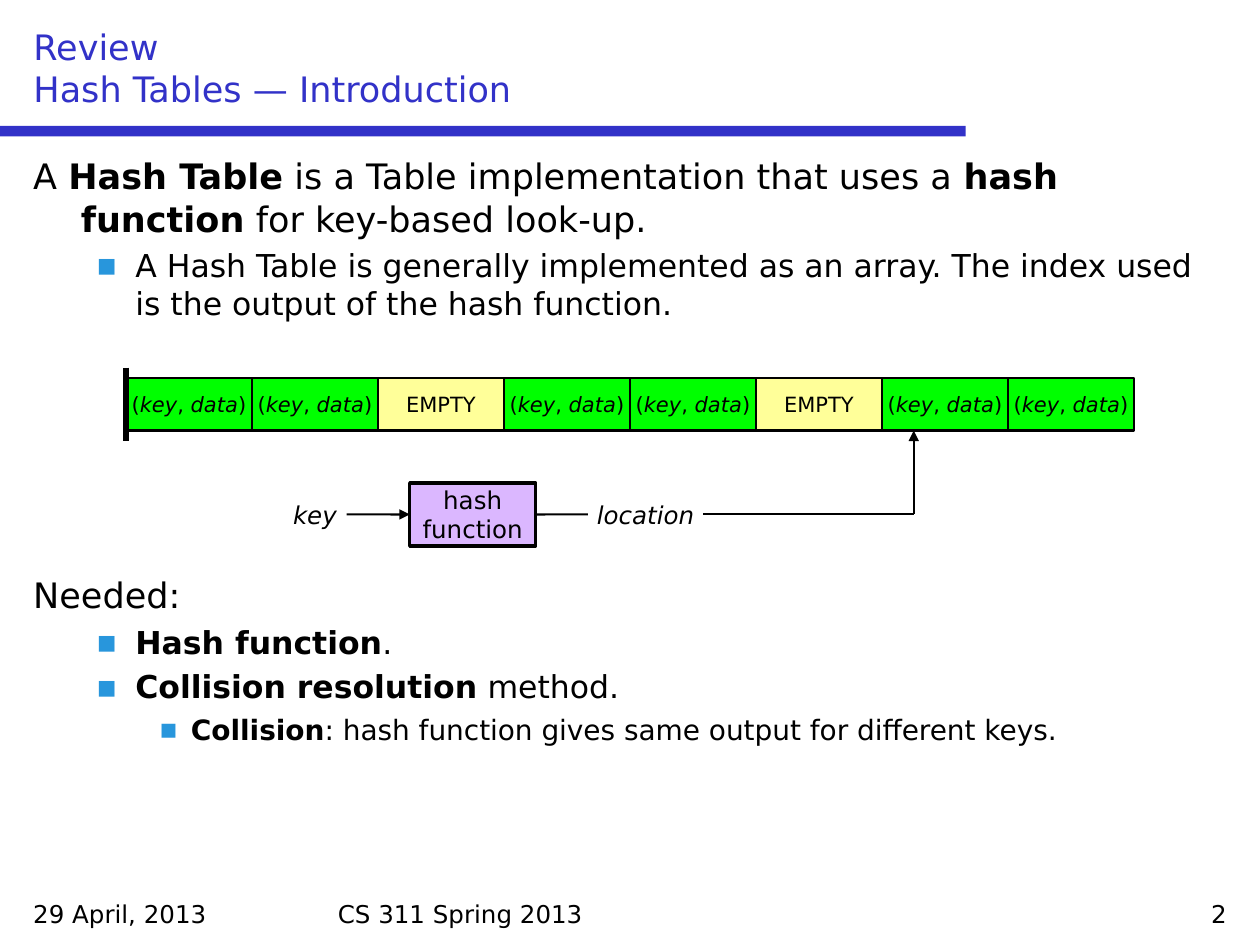
from dataclasses import dataclass

from lxml import etree
from pptx import Presentation
from pptx import util as u
from pptx.dml.color import RGBColor
from pptx.enum import shapes, text
from pptx.oxml import ns


@dataclass(frozen=True)
class Theme:
    font: str = "DejaVu Sans"
    accent: str = "3232C8"
    bullet: str = "2896DC"
    ink: str = "000000"
    used: str = "00FF00"
    empty: str = "FFFF99"
    function: str = "DBB7FF"
    heading: int = 20
    levels: tuple = (20, 18, 16)
    label: int = 14
    cell: int = 12
    thin: float = 1.25


# Left margin and hanging indent of each text level, in cm
INDENTS = ((0.96, -0.96), (2.06, -0.79), (3.18, -0.64))


class SlideBuilder:
    def __init__(self, presentation, theme):
        self.theme = theme
        self.slide = presentation.slides.add_slide(presentation.slide_layouts[5])

    def fill_text(self, paragraph, content, size, color=None, align="LEFT", emphasis="bold"):
        """Fill a paragraph; parts between asterisks get the emphasis."""
        paragraph.alignment = text.PP_ALIGN[align]
        font = paragraph.font
        font.name, font.size = self.theme.font, u.Pt(size)
        font.color.rgb = RGBColor.from_string(color or self.theme.ink)
        if "*" not in content:
            paragraph.text = content
            return
        for index, part in enumerate(content.split("*")):
            if part:
                run = paragraph.add_run()
                run.text = part
                if index % 2 and emphasis == "bold":
                    run.font.bold = True
                elif index % 2:
                    run.font.italic = True

    def title(self, content, left, top, width, height):
        shape = self.slide.shapes.title
        shape.left, shape.top = u.Cm(left), u.Cm(top)
        shape.width, shape.height = u.Cm(width), u.Cm(height)
        frame = shape.text_frame
        frame.auto_size = text.MSO_AUTO_SIZE.NONE
        frame.vertical_anchor = text.MSO_ANCHOR.BOTTOM
        self.fill_text(frame.paragraphs[0], content, self.theme.heading, self.theme.accent)

    def text_box(self, left, top, width, height):
        box = self.slide.shapes.add_textbox(u.Cm(left), u.Cm(top), u.Cm(width), u.Cm(height))
        box.text_frame.word_wrap = True
        return box.text_frame

    def label(self, content, left, top, width, height, **style):
        frame = self.text_box(left, top, width, height)
        self.fill_text(frame.paragraphs[0], content, self.theme.label, **style)

    def outline(self, items, left, top, width, height):
        """Set (level, space before, content) items as one indented text."""
        frame = self.text_box(left, top, width, height)
        for index, (level, space, content) in enumerate(items):
            paragraph = frame.add_paragraph() if index else frame.paragraphs[0]
            paragraph.level = level
            paragraph.space_before = u.Pt(space)
            self.bullet(paragraph, level)
            self.fill_text(paragraph, content, self.theme.levels[level])

    def bullet(self, paragraph, level):
        properties = paragraph._p.get_or_add_pPr()
        margin, indent = INDENTS[level]
        properties.set("marL", str(u.Cm(margin)))
        properties.set("indent", str(u.Cm(indent)))
        if level == 0:
            etree.SubElement(properties, ns.qn("a:buNone"))
            return
        color = etree.SubElement(properties, ns.qn("a:buClr"))
        etree.SubElement(color, ns.qn("a:srgbClr"), val=self.theme.bullet)
        etree.SubElement(properties, ns.qn("a:buFont"), typeface=self.theme.font)
        etree.SubElement(properties, ns.qn("a:buChar"), char="▪")

    def rectangle(self, left, top, width, height, fill, line=None, content="", size=None):
        shape = self.slide.shapes.add_shape(
            shapes.MSO_SHAPE.RECTANGLE, u.Cm(left), u.Cm(top), u.Cm(width), u.Cm(height))
        shape.shadow.inherit = False
        shape.fill.solid()
        shape.fill.fore_color.rgb = RGBColor.from_string(fill)
        if line:
            shape.line.color.rgb = RGBColor.from_string(self.theme.ink)
            shape.line.width = u.Pt(line)
        else:
            shape.line.fill.background()
        if content:
            frame = shape.text_frame
            frame.word_wrap = False
            frame.vertical_anchor = text.MSO_ANCHOR.MIDDLE
            self.fill_text(frame.paragraphs[0], content, size, align="CENTER", emphasis="italic")
        return shape

    def line(self, start, end, width=None, arrow=False):
        connector = self.slide.shapes.add_connector(
            shapes.MSO_CONNECTOR.STRAIGHT, *(u.Cm(value) for value in (*start, *end)))
        connector.line.color.rgb = RGBColor.from_string(self.theme.ink)
        connector.line.width = u.Pt(width or self.theme.thin)
        properties = connector._element.spPr
        if arrow:
            etree.SubElement(properties.find(ns.qn("a:ln")), ns.qn("a:tailEnd"), type="triangle")
        etree.SubElement(properties, ns.qn("a:effectLst"))
        return connector


def main():
    presentation = Presentation()
    presentation.slide_width, presentation.slide_height = u.Cm(25.4), u.Cm(19.05)
    theme = Theme()
    builder = SlideBuilder(presentation, theme)
    margin, text_width = 0.42, 24.55

    # Title and rule
    builder.rectangle(0, 2.54, 19.47, 0.21, theme.accent)
    builder.title("Review\nHash Tables — Introduction", margin, 0.42, text_width, 1.91)

    # Body text, with room for the diagram above "Needed:"
    builder.outline([
        (0, 0, "A *Hash Table* is a Table implementation that uses a *hash function*"
               " for key-based look-up."),
        (1, 4, "A Hash Table is generally implemented as an array. The index used"
               " is the output of the hash function."),
        (0, 144, "Needed:"),
        (1, 4, "*Hash function*."),
        (1, 4, "*Collision resolution* method."),
        (2, 4, "*Collision*: hash function gives same output for different keys."),
    ], margin, 3, text_width, 14.8)

    # Array of table slots
    cell, array_top, cell_height = 2.54, 7.62, 1.06
    for index in range(8):
        is_empty = index in (2, 5)
        builder.rectangle(
            cell * (index + 1), array_top, cell, cell_height,
            theme.empty if is_empty else theme.used, theme.thin,
            "EMPTY" if is_empty else "(*key*, *data*)", theme.cell)
    builder.line((cell, 7.41), (cell, 8.89), width=3)

    # Hash function and its route from key to slot
    flow, function_left, function_height = 10.37, 8.26, 1.27
    function = builder.rectangle(
        function_left, flow - function_height / 2, cell, function_height,
        theme.function, 2, "hash\nfunction", theme.label)
    key_arrow = builder.line((6.99, flow), (function_left, flow), arrow=True)
    key_arrow.end_connect(function, 1)
    output = builder.line((function_left + cell, flow), (11.85, flow))
    output.begin_connect(function, 3)
    target = 18.42
    builder.line((14.18, flow), (target, flow))
    builder.line((target, flow), (target, array_top + cell_height), arrow=True)
    for content, left, width in (("*key*", 5.5, 1.7), ("*location*", 11.64, 2.75)):
        builder.label(content, left, 9.95, width, 0.85, align="CENTER", emphasis="italic")

    # Footer
    for content, left, width, align in (
            ("29 April, 2013", margin, 5.93, "LEFT"),
            ("CS 311 Spring 2013", 6.56, 12.28, "LEFT"),
            ("2", 19.05, 5.93, "RIGHT")):
        builder.label(content, left, 17.99, width, 0.85, align=align)

    presentation.save("out.pptx")


if __name__ == "__main__":
    main()
